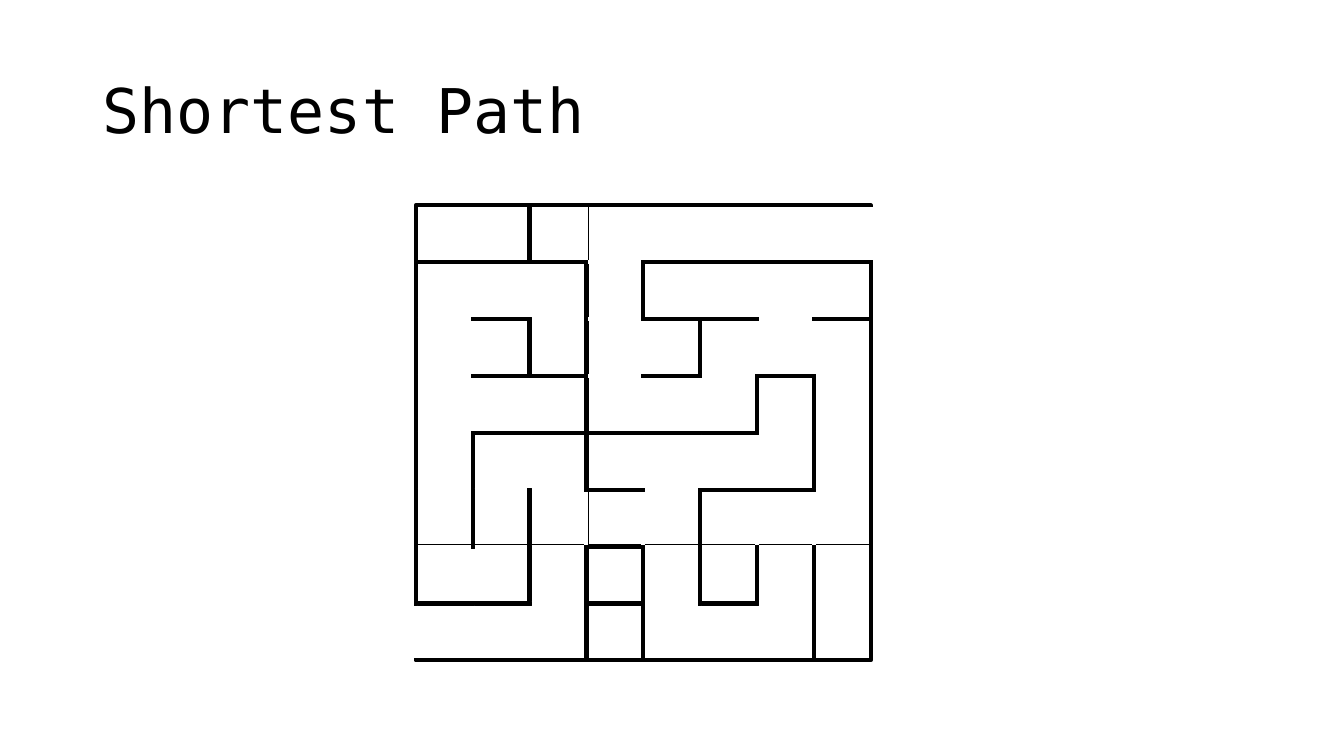
import pptx
import pptx.dml.color
import pptx.enum.shapes
import pptx.enum.text
import pptx.oxml.ns
import pptx.util
from lxml import etree

Pt = pptx.util.Pt
BLACK = pptx.dml.color.RGBColor(0x00, 0x00, 0x00)
WHITE = pptx.dml.color.RGBColor(0xFF, 0xFF, 0xFF)
FONT = "DejaVu Sans Mono"
WALL = 3
GAP = 1.5  # distance kept between a passage and the wall corners
SIZE = 8   # cells per side

# Row of cells -> vertical wall lines that are open in that row
SIDE_PASSAGES = {
    0: (1, 3, 4, 5, 6, 7, 8),
    1: (1, 2, 5, 6, 7),
    2: (1, 4, 6, 7),
    3: (1, 2, 4, 5),
    4: (2, 4, 5, 6),
    5: (3, 4, 6, 7),
    6: (1,),
    7: (0, 1, 2, 5, 6),
}
# Horizontal wall line -> columns of cells where that line is open
DOWN_PASSAGES = {
    1: (3,),
    2: (0, 2, 3, 6),
    3: (0, 3, 5, 7),
    4: (0, 6, 7),
    5: (0, 1, 2, 4, 7),
    6: (0, 1, 2, 4, 5, 6, 7),
    7: (2, 4, 6, 7),
}


def add_title(slide, text, left, top, width, height):
    sp = slide.shapes.title
    sp.left, sp.top, sp.width, sp.height = Pt(left), Pt(top), Pt(width), Pt(height)
    tf = sp.text_frame
    tf.text = text
    tf.word_wrap = True
    tf.vertical_anchor = pptx.enum.text.MSO_ANCHOR.MIDDLE
    p = tf.paragraphs[0]
    p.alignment = pptx.enum.text.PP_ALIGN.LEFT
    p.line_spacing = 0.9
    r = p.runs[0]
    r.font.name = FONT
    r.font.size = Pt(44)
    r.font.color.rgb = BLACK


def add_passage(slide, x1, y1, x2, y2):
    line = slide.shapes.add_connector(
        pptx.enum.shapes.MSO_CONNECTOR.STRAIGHT, Pt(x1), Pt(y1), Pt(x2), Pt(y2))
    line.line.color.rgb = WHITE
    line.line.width = Pt(WALL)
    etree.SubElement(line.element.spPr, pptx.oxml.ns.qn("a:effectLst"))


def add_maze(slide, left, top, side):
    cell = side / SIZE

    # Closed grid of cells
    grid = slide.shapes.add_group_shape()
    for row in range(SIZE):
        for col in range(SIZE):
            sp = grid.shapes.add_shape(
                pptx.enum.shapes.MSO_SHAPE.RECTANGLE,
                Pt(left + col * cell), Pt(top + row * cell), Pt(cell), Pt(cell))
            sp.shadow.inherit = False
            sp.fill.solid()
            sp.fill.fore_color.rgb = WHITE
            sp.line.color.rgb = BLACK
            sp.line.width = Pt(WALL)

    # Openings in the vertical walls
    for row, cols in SIDE_PASSAGES.items():
        y = top + row * cell
        for col in cols:
            x = left + col * cell
            add_passage(slide, x, y + GAP, x, y + cell - GAP)

    # Openings in the horizontal walls
    for row, cols in DOWN_PASSAGES.items():
        y = top + row * cell
        for col in cols:
            x = left + col * cell
            add_passage(slide, x + GAP, y, x + cell - GAP, y)


def main():
    prs = pptx.Presentation()
    prs.slide_width, prs.slide_height = Pt(960), Pt(540)
    slide = prs.slides.add_slide(prs.slide_layouts[5])
    add_title(slide, "Shortest Path", 66, 28.75, 828, 104.4)
    add_maze(slide, 297, 146.7, 325)
    prs.save("out.pptx")


if __name__ == "__main__":
    main()
